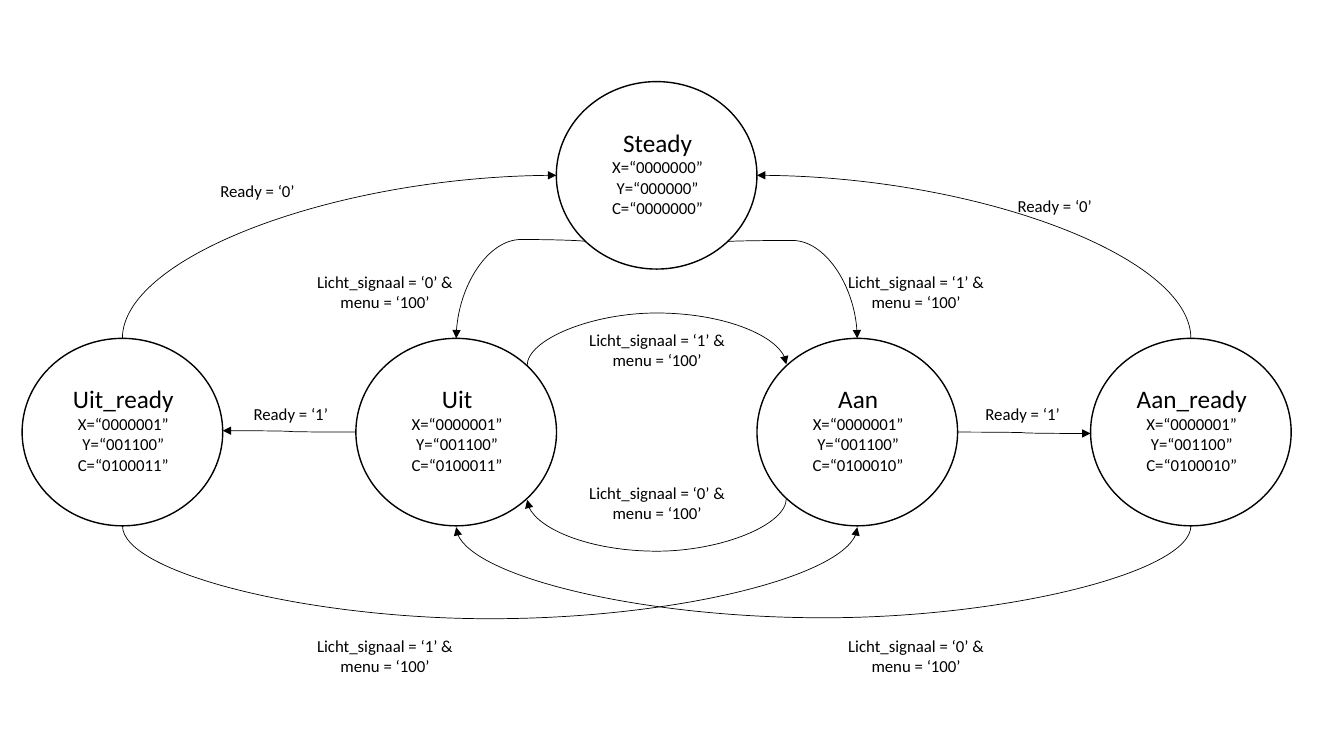
from math import cos, radians, sin

from lxml import etree
from pptx import Presentation
from pptx.dml.color import RGBColor
from pptx.enum.shapes import MSO_CONNECTOR, MSO_SHAPE
from pptx.enum.text import MSO_AUTO_SIZE, PP_ALIGN
from pptx.oxml.ns import qn
from pptx.util import Pt

CURVE = MSO_CONNECTOR.CURVE
OVAL = MSO_SHAPE.OVAL
CENTER = PP_ALIGN.CENTER
GROW = MSO_AUTO_SIZE.SHAPE_TO_FIT_TEXT

COLORS = {"ink": "000000"}
FONT = "Calibri"
STATE_WIDTH, STATE_HEIGHT = 143.3, 133.9
SITES = ["top", "top left", "left", "bottom left", "bottom", "bottom right", "right", "top right"]
TURNS = {
    (True, False): (90, ""),
    (True, True): (270, "H"),
    (False, False): (270, "V"),
    (False, True): (90, "HV"),
}

STATES = [
    ("Steady", 397.4, 58.3, "0000000", "000000", "0000000"),
    ("Aan", 540.7, 241.7, "0000001", "001100", "0100010"),
    ("Aan_ready", 779, 241.7, "0000001", "001100", "0100010"),
    ("Uit", 254.2, 241.7, "0000001", "001100", "0100011"),
    ("Uit_ready", 15.8, 241.7, "0000001", "001100", "0100011"),
]

TRANSITIONS = [
    ("Steady", "bottom right", "Aan", "top", 0, -0.8),
    ("Steady", "bottom left", "Uit", "top", 0, -1.5),
    ("Aan", "bottom left", "Uit", "bottom right", 1, 38),
    ("Aan", "right", "Aan_ready", "left", 1, None),
    ("Aan_ready", "bottom", "Uit", "bottom", 1, 66.2),
    ("Aan_ready", "top", "Steady", "right", 0, None),
    ("Uit", "top right", "Aan", "top left", -1, 38),
    ("Uit", "left", "Uit_ready", "right", -1, None),
    ("Uit_ready", "top", "Steady", "left", 0, None),
    ("Uit_ready", "bottom", "Aan", "bottom", 1, 66.9),
]

SIGNAL_LABELS = [
    (595.4, 190.8, 1),
    (216, 190.8, 0),
    (410.4, 231.8, 1),
    (410.4, 341.3, 0),
    (595.4, 450.7, 0),
    (216, 450.7, 1),
]
READY_LABELS = [(684, 285.1, 1), (161.3, 285.1, 1), (707, 136.1, 0), (137.5, 125.3, 0)]


class StateDiagram:
    def __init__(self, slide):
        self.slide = slide
        self.ink = RGBColor.from_string(COLORS["ink"])
        self.states = {}

    def text(self, shapes, left, top, width, height, lines):
        box = shapes.add_textbox(Pt(left), Pt(top), Pt(width), Pt(height))
        frame = box.text_frame
        frame.word_wrap = True
        frame.auto_size = GROW
        frame.text = "\n".join(line for line, size in lines)
        for paragraph, (line, size) in zip(frame.paragraphs, lines):
            paragraph.alignment = CENTER
            paragraph.font.name = FONT
            paragraph.font.size = Pt(size)
            paragraph.font.color.rgb = self.ink

    def state(self, name, left, top, *outputs):
        group = self.slide.shapes.add_group_shape()
        circle = group.shapes.add_shape(OVAL, Pt(left), Pt(top), Pt(STATE_WIDTH), Pt(STATE_HEIGHT))
        circle.shadow.inherit = False
        circle.fill.background()
        circle.line.color.rgb = self.ink
        circle.line.width = Pt(1)
        lines = [(name, 18)]
        lines += [(f"{letter}=“{bits}”", 12) for letter, bits in zip("XYC", outputs)]
        self.text(group.shapes, left + 24.4, top + 28.8, 95.8, 72.7, lines)
        self.states[name] = (circle.shape_id, left + STATE_WIDTH / 2, top + STATE_HEIGHT / 2)

    def site_point(self, name, site):
        shape_id, center_x, center_y = self.states[name]
        angle = radians(45 * SITES.index(site))
        return center_x - STATE_WIDTH / 2 * sin(angle), center_y - STATE_HEIGHT / 2 * cos(angle)

    def transition(self, source, source_site, target, target_site, lean, bend):
        begin_x, begin_y = self.site_point(source, source_site)
        end_x, end_y = self.site_point(target, target_site)
        end_y += lean
        width, height = abs(end_x - begin_x), abs(end_y - begin_y)
        if source_site in ("left", "right"):
            rotation, flips = (0 if end_x > begin_x else 180), ""
        else:
            rotation, flips = TURNS[end_y > begin_y, end_x > begin_x]
            width, height = height, width
        left, top = (begin_x + end_x - width) / 2, (begin_y + end_y - height) / 2
        connector = self.slide.shapes.add_connector(
            CURVE, Pt(left), Pt(top), Pt(left + width), Pt(top + height)
        )
        connector.line.color.rgb = self.ink
        connector.line.width = Pt(0.5)

        properties = connector.element.spPr
        frame = properties.find(qn("a:xfrm"))
        frame.set("rot", str(rotation * 60000))
        for axis in flips:
            frame.set(f"flip{axis}", "1")
        geometry = properties.find(qn("a:prstGeom"))
        if bend is not None:
            guides = geometry.find(qn("a:avLst"))
            ratio = round(bend / width * 100000)
            etree.SubElement(guides, qn("a:gd"), name="adj1", fmla=f"val {ratio}")
        elif source_site == "top":
            geometry.set("prst", "curvedConnector2")
        etree.SubElement(properties.find(qn("a:ln")), qn("a:tailEnd"), type="triangle")
        etree.SubElement(properties, qn("a:effectLst"))

        joints = next(connector.element.iter(qn("p:cNvCxnSpPr")))
        for tag, name, site in (
            ("a:stCxn", source, source_site),
            ("a:endCxn", target, target_site),
        ):
            etree.SubElement(
                joints, qn(tag), id=str(self.states[name][0]), idx=str(SITES.index(site))
            )

    def label(self, left, top, width, height, wording):
        self.text(self.slide.shapes, left, top, width, height, [(wording, 12)])


def main():
    presentation = Presentation()
    presentation.slide_width = Pt(960)
    presentation.slide_height = Pt(540)
    diagram = StateDiagram(presentation.slides.add_slide(presentation.slide_layouts[6]))
    for state in STATES:
        diagram.state(*state)
    for transition in TRANSITIONS:
        diagram.transition(*transition)
    for left, top, signal in SIGNAL_LABELS:
        diagram.label(left, top, 118.1, 36, f"Licht_signaal = ‘{signal}’ & menu = ‘100’")
    for left, top, ready in READY_LABELS:
        diagram.label(left, top, 92.9, 21.6, f"Ready = ‘{ready}’")
    presentation.save("out.pptx")


if __name__ == "__main__":
    main()
